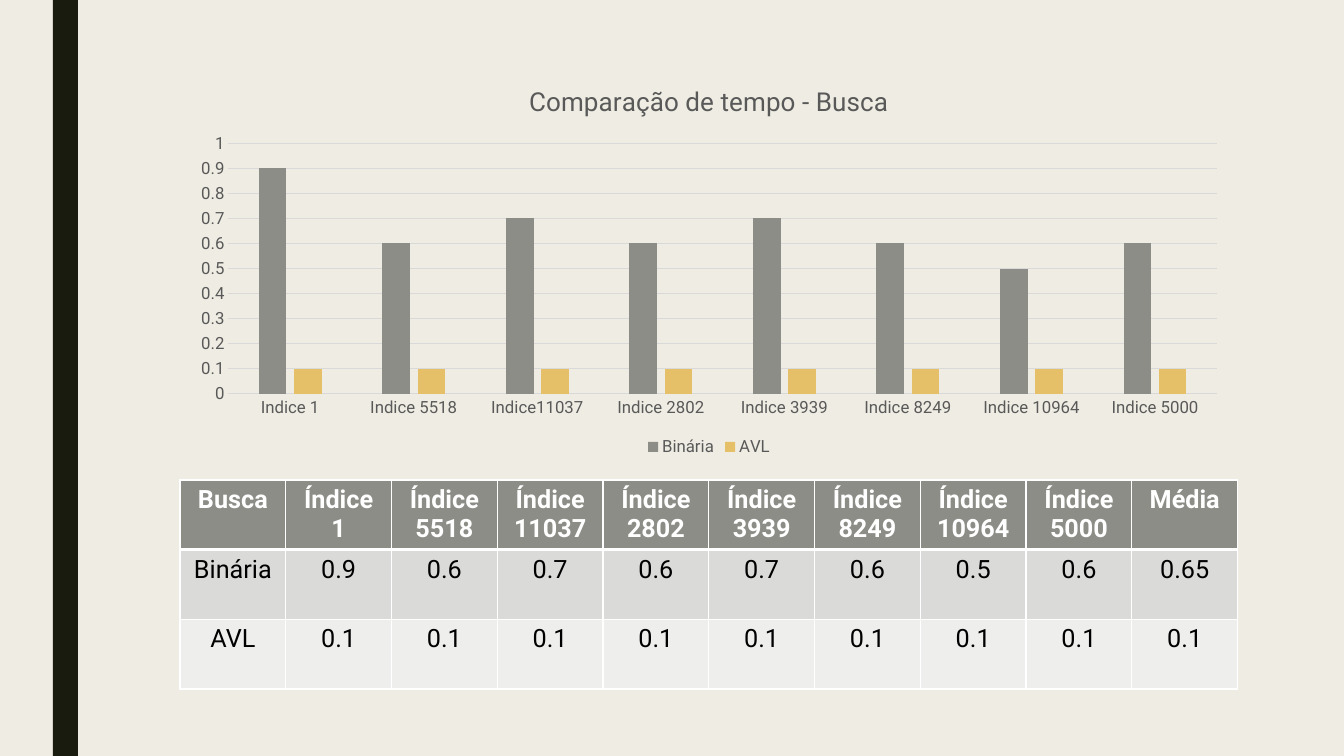
from lxml import etree
from pptx import Presentation
from pptx import util as u
from pptx.chart import data
from pptx.dml import color
from pptx.enum import chart, shapes, text
from pptx.oxml import ns

HUES = {
    "back": "EFEDE3", "bar": "191B0E", "gray": "8C8D86", "gold": "E6C069",
    "label": "595959", "grid": "D9D9D9", "white": "FFFFFF",
    "black": "000000", "odd": "DADBD9", "even": "EEEEED",
}


def px(n):
    return u.Emu(round(n * 914400 / 100.8))


def rgb(name):
    return color.RGBColor.from_string(HUES[name])


def paint(fill, name):
    fill.solid()
    fill.fore_color.rgb = rgb(name)


def style(font, size=12, hue="label", bold=False, face="Roboto"):
    font.name = face
    font.size = u.Pt(size)
    font.bold = bold
    font.color.rgb = rgb(hue)


def write(frame, words, align=text.PP_ALIGN.CENTER, **form):
    para = frame.paragraphs[0]
    para.alignment = align
    run = para.add_run()
    run.text = words
    style(run.font, **form)


def edge(cell, side, width, hue="white"):
    props = cell._tc.get_or_add_tcPr()
    line = etree.SubElement(props, ns.qn("a:ln" + side), w=str(u.Pt(width)))
    fill = etree.SubElement(line, ns.qn("a:solidFill"))
    etree.SubElement(fill, ns.qn("a:srgbClr"), val=HUES[hue])


class Board:
    def __init__(self, deck):
        self.slide = deck.slides.add_slide(deck.slide_layouts[6])
        paint(self.slide.background.fill, "back")

    def rect(self, x, y, w, h, hue):
        box = self.slide.shapes.add_shape(
            shapes.MSO_SHAPE.RECTANGLE, px(x), px(y), px(w), px(h))
        box.shadow.inherit = False
        paint(box.fill, hue)
        box.line.fill.background()

    def bars(self, x, y, w, h, title, cats, rows, hues):
        feed = data.CategoryChartData()
        feed.categories = cats
        for name, vals in rows.items():
            feed.add_series(name, vals)
        plot = self.slide.shapes.add_chart(
            chart.XL_CHART_TYPE.COLUMN_CLUSTERED,
            px(x), px(y), px(w), px(h), feed).chart
        style(plot.font, size=10, hue="black")
        plot.has_title = True
        write(plot.chart_title.text_frame, title, size=18.6)
        plot.chart_title.include_in_layout = False
        plot.has_legend = True
        plot.legend.position = chart.XL_LEGEND_POSITION.BOTTOM
        plot.legend.include_in_layout = False
        style(plot.legend.font)
        for axis in (plot.category_axis, plot.value_axis):
            axis.major_tick_mark = chart.XL_TICK_MARK.NONE
            axis.minor_tick_mark = chart.XL_TICK_MARK.NONE
            style(axis.tick_labels.font)
        scale = plot.value_axis
        scale.minimum_scale, scale.maximum_scale = 0, 1
        scale.major_unit = 0.1
        scale.format.line.fill.background()
        for line in (plot.category_axis.format.line,
                     scale.major_gridlines.format.line):
            line.width = u.Pt(0.75)
            line.color.rgb = rgb("grid")
        group = plot.plots[0]
        group.vary_by_categories = False
        group.gap_width, group.overlap = 219, -27
        for series, hue in zip(group.series, hues):
            paint(series.format.fill, hue)

    def table(self, x, y, w, h, rows, fills):
        grid = self.slide.shapes.add_table(
            len(rows), len(rows[0]), px(x), px(y), px(w), px(h)).table
        for r, row in enumerate(rows):
            head = r == 0
            for c, words in enumerate(row):
                cell = grid.cell(r, c)
                write(cell.text_frame, words, size=18, bold=head,
                      hue="white" if head else "black")
                for side in "LRTB":
                    thick = (head and side == "B") or (r == 1 and side == "T")
                    edge(cell, side, 3 if thick else 1)
                paint(cell.fill, fills[r])


def main():
    deck = Presentation()
    deck.slide_width, deck.slide_height = px(1344), px(756)
    board = Board(deck)
    board.rect(53, 0, 25, 756, "bar")

    cats = ["Indice 1", "Indice 5518", "Indice11037", "Indice 2802",
            "Indice 3939", "Indice 8249", "Indice 10964", "Indice 5000"]
    times = {"Binária": [0.9, 0.6, 0.7, 0.6, 0.7, 0.6, 0.5, 0.6],
             "AVL": [0.1] * len(cats)}
    board.bars(180, 66, 1058, 395, "Comparação de tempo - Busca",
               cats, times, ["gray", "gold"])

    heads = ["Índice " + cat.removeprefix("Indice").strip() for cat in cats]
    rows = [["Busca", *heads, "Média"]]
    for name, vals in times.items():
        mean = round(sum(vals) / len(vals), 2)
        rows.append([name, *map(str, vals), str(mean)])
    board.table(180, 480, 1058, 209, rows, ["gray", "odd", "even"])
    deck.save("out.pptx")


if __name__ == "__main__":
    main()
